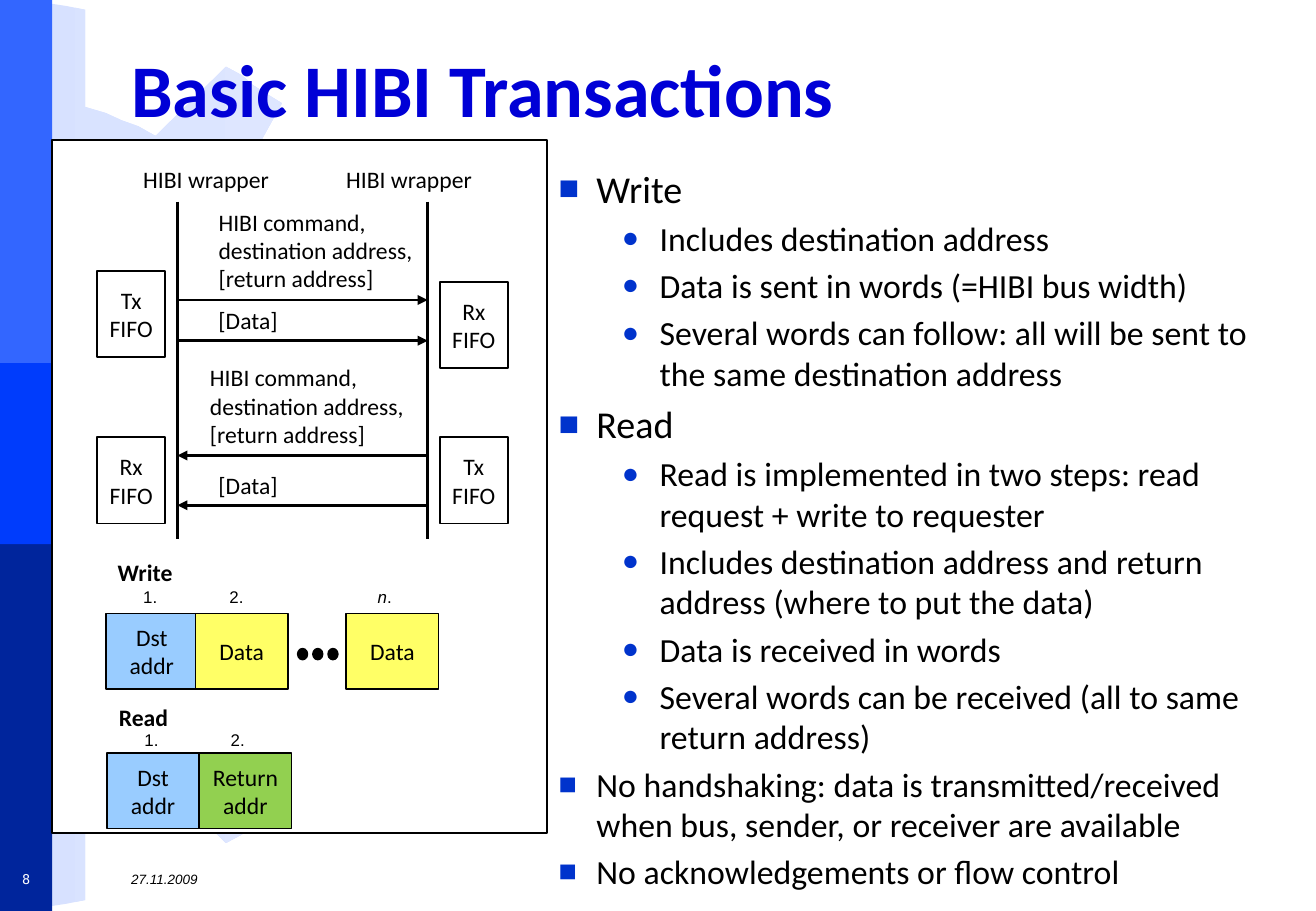
from lxml.etree import SubElement
from pptx import Presentation
from pptx.dml.color import RGBColor
from pptx.enum.shapes import MSO_CONNECTOR, MSO_SHAPE
from pptx.enum.text import MSO_ANCHOR, PP_ALIGN
from pptx.oxml.ns import qn
from pptx.util import Inches, Pt

COLS, ROWS = 108.3, 75  # grid of 0.1 inch cells
BAND = 4.3              # width of the blue side band
LEFT_BUS, RIGHT_BUS = 14.6, 35.2
FIFO, WORD = (5.6, 7.1), (7.6, 6.2)
BLACK, WHITE, SKY, YELLOW, GREEN = "000000", "FFFFFF", "99CCFF", "FFFF66", "92D050"

# Upper half of the gear outline, from the right tip to the left edge
GEAR_MIDDLE = 37.45
GEAR = [
    (37, 37.3), (37, 35.9), (36.7, 34.7), (28.6, 33.4), (28.3, 32), (28.1, 30.5),
    (27.5, 29.1), (27.3, 27.3), (33.8, 22.7), (33.3, 21.4), (32.7, 20.4), (32, 19.2),
    (31.4, 18), (23.6, 20.5), (22.5, 19.2), (21.5, 18), (20.6, 16.9), (19.2, 15.7),
    (23.2, 8.5), (21.9, 7.7), (20.8, 7), (19.9, 6.2), (18.6, 5.5), (12.8, 11.2),
    (11.4, 10.4), (10, 9.9), (8.7, 9.3), (7, 8.8), (7, 0.8), (5.5, 0.5), (4.2, 0.3),
    (2.9, 0.1), (1.4, 0), (1.4, 17.6), (2.8, 18), (4.2, 18.1), (5.4, 18.6),
    (6.5, 19.1), (7.8, 19.6), (8.9, 20.1), (10, 20.9), (11.1, 21.6), (11.9, 22.6),
    (13, 23.4), (13.9, 24.2), (14.7, 25.3), (15.5, 26.4), (16, 27.6), (16.7, 28.6),
    (17.3, 29.9), (0, 29.9),
]

BULLETS = [
    (0, 22.5, "Write"),
    (1, 20, "Includes destination address"),
    (1, 20, "Data is sent in words (=HIBI bus width)"),
    (1, 20, "Several words can follow: all will be sent to the same destination address"),
    (0, 22.5, "Read"),
    (1, 20, "Read is implemented in two steps: read request + write to requester"),
    (1, 20, "Includes destination address and return address (where to put the data)"),
    (1, 20, "Data is received in words"),
    (1, 20, "Several words can be received (all to same return address)"),
    (0, 20, "No handshaking: data is transmitted/received when bus, sender, or receiver "
            "are available"),
    (0, 20, "No acknowledgements or flow control"),
]
# Per level: indent, bullet sign, bullet size
LEVELS = [(0.31, "■", "90000"), (0.83, "●", "85000")]


def cells(*values):
    return [Inches(v / 10) for v in values]


def rgb(color):
    return RGBColor.from_string(color)


def style(p, size, font="Calibri", color=BLACK, bold=False, italic=False):
    for r in p.runs:
        r.font.size, r.font.name = Pt(size), font
        r.font.color.rgb = rgb(color)
        r.font.bold, r.font.italic = bold, italic


def add_text(s, box, text, size=14, wrap=False, anchor=MSO_ANCHOR.TOP,
             align=PP_ALIGN.LEFT, **font):
    tf = s.shapes.add_textbox(*cells(*box)).text_frame
    tf.word_wrap, tf.vertical_anchor = wrap, anchor
    tf.text = text
    for p in tf.paragraphs:
        p.alignment = align
        style(p, size, **font)
    return tf


def add_box(s, box, fill, text="", outline=True, kind=MSO_SHAPE.RECTANGLE):
    sp = s.shapes.add_shape(kind, *cells(*box))
    sp.shadow.inherit = False
    sp.fill.solid()
    sp.fill.fore_color.rgb = rgb(fill)
    if outline:
        sp.line.color.rgb = rgb(BLACK)
        sp.line.width = Pt(1)
    else:
        sp.line.fill.background()
    if text:
        tf = sp.text_frame
        tf.text, tf.word_wrap, tf.vertical_anchor = text, True, MSO_ANCHOR.MIDDLE
        tf.paragraphs[0].alignment = PP_ALIGN.CENTER
        style(tf.paragraphs[0], 14)


def add_line(s, x1, y1, x2, y2, arrow=False):
    c = s.shapes.add_connector(MSO_CONNECTOR.STRAIGHT, *cells(x1, y1, x2, y2))
    c.line.color.rgb = rgb(BLACK)
    c.line.width = Pt(1.75)
    if arrow:
        SubElement(c.line._get_or_add_ln(), qn("a:tailEnd"), type="triangle")
    SubElement(c._element.spPr, qn("a:effectLst"))


def add_bullet(p, level, size, text):
    indent, sign, share = LEVELS[level]
    p.text = text
    p.space_before = Pt(size * 0.2)
    style(p, size)
    pPr = p._p.get_or_add_pPr()
    pPr.set("marL", str(Inches(indent)))
    pPr.set("indent", str(-Inches(0.31)))
    SubElement(SubElement(pPr, qn("a:buClr")), qn("a:srgbClr"), val="0033CC")
    SubElement(pPr, qn("a:buSzPct"), val=share)
    SubElement(pPr, qn("a:buFont"), typeface="Arial")
    SubElement(pPr, qn("a:buChar"), char=sign)


def draw_background(s):
    lower = [(x, 2 * GEAR_MIDDLE - y) for x, y in reversed(GEAR)]
    start, *rest = [cells(*point) for point in GEAR + lower]
    outline = s.shapes.build_freeform(*start)
    outline.add_line_segments(rest, close=True)
    gear = outline.convert_to_shape()
    gear.shadow.inherit = False
    gear.line.fill.background()
    gear.fill.gradient()
    gear.fill.gradient_angle = 0
    for stop, color in zip(gear.fill.gradient_stops, ("D7E1FF", "E3EAFF")):
        stop.color.rgb = rgb(color)
    for top, bottom, color in ((0, 30.5, "3366FF"), (44.6, ROWS, "00259C"),
                               (29.9, 44.8, "003CFC")):
        add_box(s, (0, top, BAND, bottom - top), color, outline=False)


def draw_sequence(s):
    for bus, label in ((LEFT_BUS, 10.8), (RIGHT_BUS, 27.5)):
        add_line(s, bus, 16.6, bus, 44.4)
        add_text(s, (label, 13.1, 12.5, 3.4), "HIBI wrapper")
    # Messages: label position, then the arrow below it
    command = "HIBI command,\ndestination address,\n[return address]"
    for text, x, y, w, h, arrow_y, ends in (
            (command, 17, 16.6, 18.2, 8.1, 24.7, (LEFT_BUS, RIGHT_BUS)),
            ("[Data]", 17, 24.7, 7, 3.4, 28.05, (LEFT_BUS, RIGHT_BUS)),
            (command, 16.3, 29.4, 18.3, 8.1, 37.5, (RIGHT_BUS, LEFT_BUS)),
            ("[Data]", 17, 38.3, 7, 3.4, 41.6, (RIGHT_BUS, LEFT_BUS))):
        add_text(s, (x, y, w, h), text)
        add_line(s, ends[0], arrow_y, ends[1], arrow_y, arrow=True)
    for x, y, text in ((8, 22.3, "Tx FIFO"), (36.2, 23.2, "Rx FIFO"),
                       (8, 36, "Rx FIFO"), (36.2, 36, "Tx FIFO")):
        add_box(s, (x, y, *FIFO), WHITE, text)


def draw_words(s):
    # Transfer name, its place, row of numbers, row of words, words
    for name, x, y, number_y, word_y, words in (
            ("Write", 8.7, 45.4, 47.8, 50.5,
             ((8.7, 10.8, "1.", SKY, "Dst addr"), (16.1, 17.9, "2.", YELLOW, "Data"),
              (28.5, 30.1, "n.", YELLOW, "Data"))),
            ("Read", 8.8, 57.4, 59.6, 62,
             ((8.8, 10.9, "1.", SKY, "Dst addr"),
              (16.4, 18, "2.", GREEN, "Return addr")))):
        add_text(s, (x, y, 6.6, 3.4), name, bold=True)
        for word_x, number_x, number, fill, text in words:
            add_box(s, (word_x, word_y, *WORD), fill, text)
            tf = add_text(s, (number_x, number_y, 3.2, 2.7), number, 10, font="Arial")
            if number == "n.":
                p = tf.paragraphs[0]
                p.runs[0].text = "n"
                p.add_run().text = "."
                style(p, 10, font="Arial")
                p.runs[0].font.italic = True
    for i in range(3):
        add_box(s, (24.5 + 1.25 * i, 53.4, 0.8, 0.9), BLACK, kind=MSO_SHAPE.OVAL)


def main():
    prs = Presentation()
    prs.slide_width, prs.slide_height = cells(COLS, ROWS)
    s = prs.slides.add_slide(prs.slide_layouts[6])
    draw_background(s)
    add_box(s, (BAND, 11.5, 40.7, 57.1), WHITE)

    # Title and bullets
    title = add_text(s, (9.8, 2.1, 93.9, 9.4), "Basic HIBI Transactions", 44, wrap=True,
                     anchor=MSO_ANCHOR.BOTTOM, color="0000D6", bold=True)
    title.paragraphs[0].line_spacing = 0.9
    tf = add_text(s, (45, 13.1, 60.7, 56.8), "", wrap=True)
    for i, bullet in enumerate(BULLETS):
        add_bullet(tf.add_paragraph() if i else tf.paragraphs[0], *bullet)

    # Date and slide number
    add_text(s, (9.8, 71.1, 93.9, 2.6), "27.11.2009", 8, wrap=True,
             anchor=MSO_ANCHOR.MIDDLE, font="Arial", italic=True)
    add_text(s, (0, 71.1, BAND, 2.6), "8", 8, wrap=True, anchor=MSO_ANCHOR.MIDDLE,
             align=PP_ALIGN.CENTER, font="DejaVu Sans Mono", color=WHITE)

    draw_sequence(s)
    draw_words(s)
    prs.save("out.pptx")


if __name__ == "__main__":
    main()
